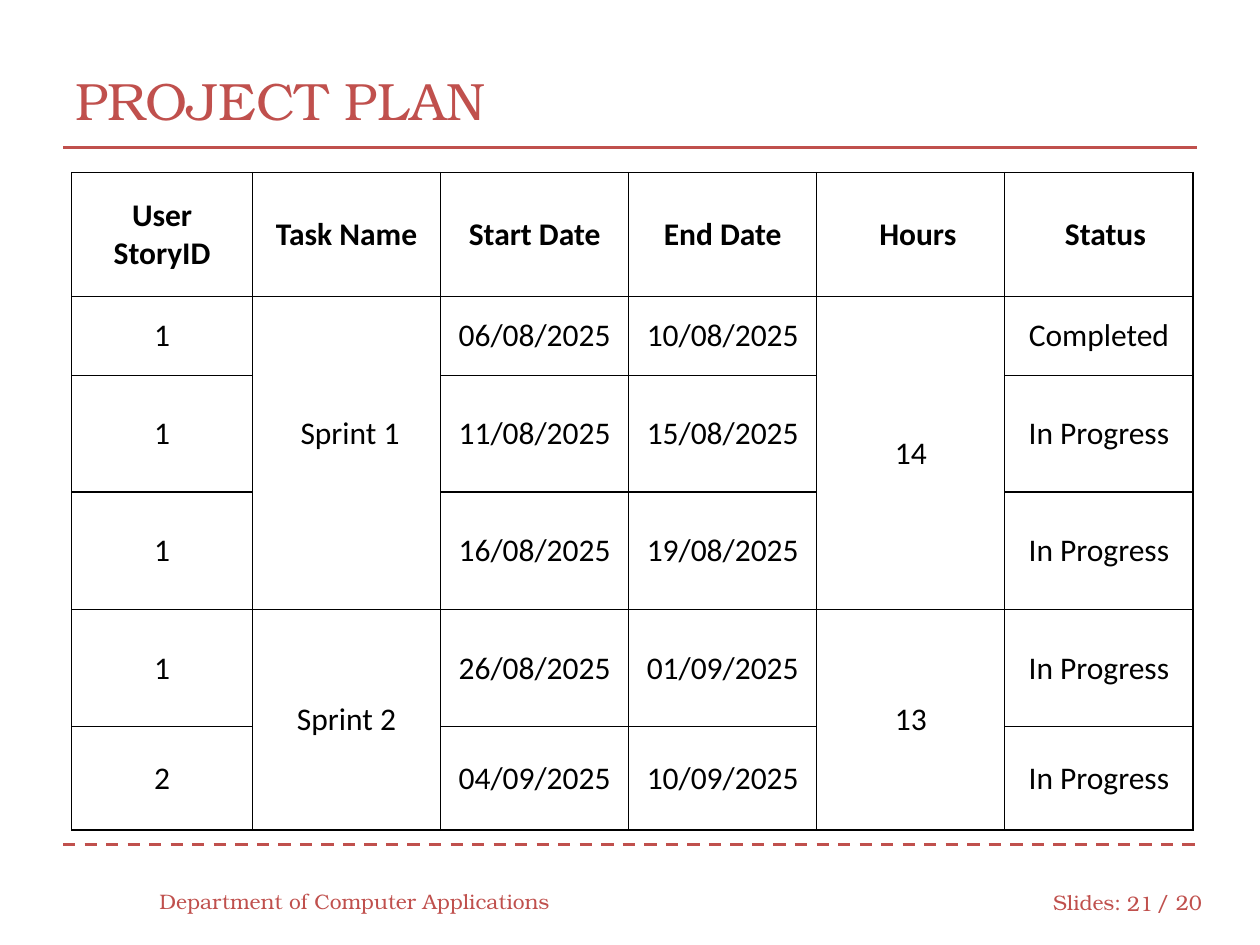
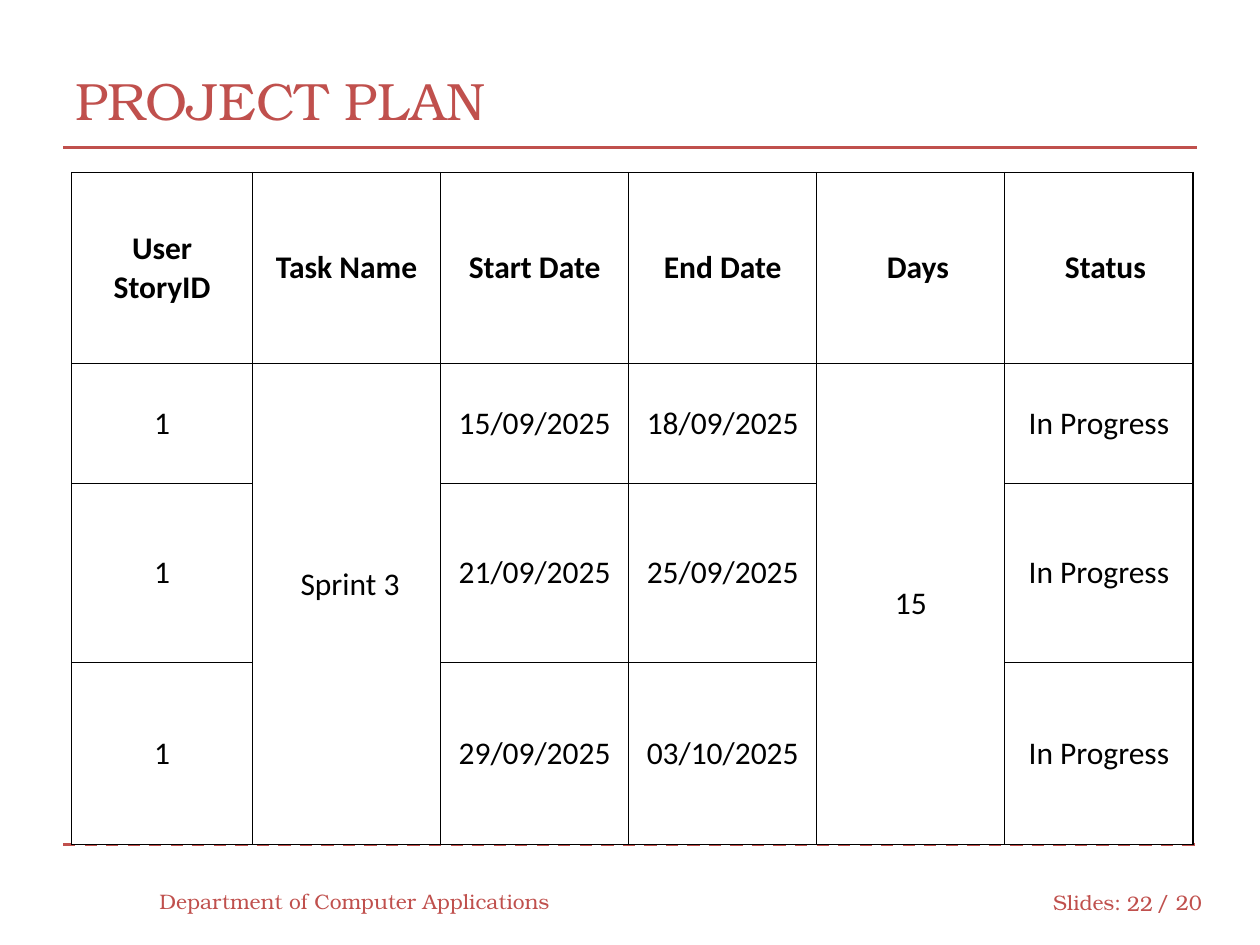
from lxml import etree
from pptx import Presentation
from pptx.dml.color import RGBColor
from pptx.enum.dml import MSO_LINE
from pptx.enum.shapes import MSO_CONNECTOR
from pptx.enum.text import MSO_ANCHOR, PP_ALIGN
from pptx.oxml.ns import qn
from pptx.util import Pt

MIDDLE = MSO_ANCHOR.MIDDLE
LEFT, CENTER, RIGHT = PP_ALIGN.LEFT, PP_ALIGN.CENTER, PP_ALIGN.RIGHT
STRAIGHT = MSO_CONNECTOR.STRAIGHT
DASH = MSO_LINE.DASH

COLORS = {"accent": "C0504D", "ink": "000000", "paper": "FFFFFF"}
DISPLAY_FONT, TABLE_FONT = "TeX Gyre Bonum", "Calibri"
PAGE_W, PAGE_H = 720, 540
RULE_LEFT, RULE_RIGHT = 36, 684
TABLE_BOX = (41, 98.6, 640.8)
ID_WIDTH = 103.3
CELL_INSET = 7.2
BORDER_WIDTH = 0.75
SLIDE_TOTAL = 20

HEADINGS = ["User\nStoryID", "Task Name", "Start Date", "End Date", None, "Status"]
TASK_COL, EFFORT_COL, STATUS_COL = 1, 4, 5
# Extra left inset that pushes centred text to the right
HEADING_SHIFT = {EFFORT_COL: 8, STATUS_COL: 7.4}

# Each sprint: name, effort, (shift right, lift) of its name, tasks
PLANS = [
    {
        "number": 21,
        "effort": "Hours",
        "heights": [71, 44.8, 66.8, 67.4, 66.7, 59.1],
        "sprints": [
            ("Sprint 1", "14", (4, 22), [
                ("1", "06/08/2025", "10/08/2025", "Completed"),
                ("1", "11/08/2025", "15/08/2025", "In Progress"),
                ("1", "16/08/2025", "19/08/2025", "In Progress"),
            ]),
            ("Sprint 2", "13", (0, 0), [
                ("1", "26/08/2025", "01/09/2025", "In Progress"),
                ("2", "04/09/2025", "10/09/2025", "In Progress"),
            ]),
        ],
    },
    {
        "number": 22,
        "effort": "Days",
        "heights": [109.2, 68.4, 102.3, 104],
        "sprints": [
            ("Sprint 3", "15", (4, 22), [
                ("1", "15/09/2025", "18/09/2025", "In Progress"),
                ("1", "21/09/2025", "25/09/2025", "In Progress"),
                ("1", "29/09/2025", "03/10/2025", "In Progress"),
            ]),
        ],
    },
]


def color(name):
    return RGBColor.from_string(COLORS[name])


def add_run(paragraph, text, size, font, color_name, bold=False):
    run = paragraph.add_run()
    run.text = text
    run.font.size = Pt(size)
    run.font.name = font
    run.font.bold = bold
    run.font.color.rgb = color(color_name)


def add_label(slide, box, text, size=12, align=LEFT):
    label = slide.shapes.add_textbox(*map(Pt, box))
    frame = label.text_frame
    frame.word_wrap = True
    frame.vertical_anchor = MIDDLE
    paragraph = frame.paragraphs[0]
    paragraph.alignment = align
    add_run(paragraph, text, size, DISPLAY_FONT, "accent")


def add_rule(slide, y, dash=None):
    rule = slide.shapes.add_connector(
        STRAIGHT, Pt(RULE_LEFT), Pt(y), Pt(RULE_RIGHT), Pt(y))
    rule.line.color.rgb = color("accent")
    rule.line.width = Pt(1.75)
    if dash:
        rule.line.dash_style = dash
    etree.SubElement(rule._element.spPr, qn("a:effectLst"))


def add_frame(slide, number):
    """Title, rules and footer shared by every slide."""
    add_rule(slide, 482.4, DASH)
    add_rule(slide, 84.2)
    add_label(slide, (36, 24, 648, 66), "PROJECT PLAN", size=30)
    add_label(slide, (84, 500.4, 240, 28.8), "Department of Computer Applications")
    add_label(slide, (594.7, 501.1, 54, 28.8), "Slides:")
    add_label(slide, (635.8, 501.8, 30.2, 28.8), str(number), align=RIGHT)
    add_label(slide, (653.8, 501.1, 41.8, 28.8), f"/ {SLIDE_TOTAL}")


def style_cell(cell):
    properties = cell._tc.get_or_add_tcPr()
    for side in ("lnL", "lnR", "lnT", "lnB"):
        border = etree.SubElement(
            properties, qn(f"a:{side}"), w=str(Pt(BORDER_WIDTH)))
        fill = etree.SubElement(border, qn("a:solidFill"))
        etree.SubElement(fill, qn("a:srgbClr"), val=COLORS["ink"])
    cell.fill.solid()
    cell.fill.fore_color.rgb = color("paper")
    cell.vertical_anchor = MIDDLE
    cell.margin_left = cell.margin_right = Pt(CELL_INSET)
    cell.margin_top = cell.margin_bottom = Pt(CELL_INSET)


def write_cell(cell, text, bold=False, shift=0, lift=0):
    cell.margin_left = Pt(CELL_INSET + shift)
    cell.margin_bottom = Pt(CELL_INSET + lift)
    frame = cell.text_frame
    for index, line in enumerate(text.split("\n")):
        paragraph = frame.add_paragraph() if index else frame.paragraphs[0]
        paragraph.alignment = CENTER
        add_run(paragraph, line, 18, TABLE_FONT, "ink", bold)


def add_plan_table(slide, box, plan):
    left, top, width = box
    heights = plan["heights"]
    holder = slide.shapes.add_table(
        len(heights), len(HEADINGS),
        Pt(left), Pt(top), Pt(width), Pt(sum(heights)))
    table = holder.table
    table.first_row = table.horz_banding = False
    other_width = (width - ID_WIDTH) / (len(HEADINGS) - 1)
    for index, column in enumerate(table.columns):
        column.width = Pt(other_width if index else ID_WIDTH)
    for row, height in zip(table.rows, heights):
        row.height = Pt(height)
    for cell in table.iter_cells():
        style_cell(cell)

    for col, heading in enumerate(HEADINGS):
        write_cell(table.cell(0, col), heading or plan["effort"], bold=True,
                   shift=HEADING_SHIFT.get(col, 0))

    first = 1
    for name, effort, (shift, lift), tasks in plan["sprints"]:
        last = first + len(tasks) - 1
        for col in (TASK_COL, EFFORT_COL):
            table.cell(first, col).merge(table.cell(last, col))
        write_cell(table.cell(first, TASK_COL), name, shift=shift, lift=lift)
        write_cell(table.cell(first, EFFORT_COL), effort)
        for row, task in enumerate(tasks, first):
            for col, value in zip((0, 2, 3, STATUS_COL), task):
                write_cell(table.cell(row, col), value)
        first = last + 1


def main():
    deck = Presentation()
    deck.slide_width, deck.slide_height = Pt(PAGE_W), Pt(PAGE_H)
    blank = deck.slide_layouts[6]
    for plan in PLANS:
        slide = deck.slides.add_slide(blank)
        add_frame(slide, plan["number"])
        add_plan_table(slide, TABLE_BOX, plan)
    deck.save("out.pptx")


if __name__ == "__main__":
    main()
